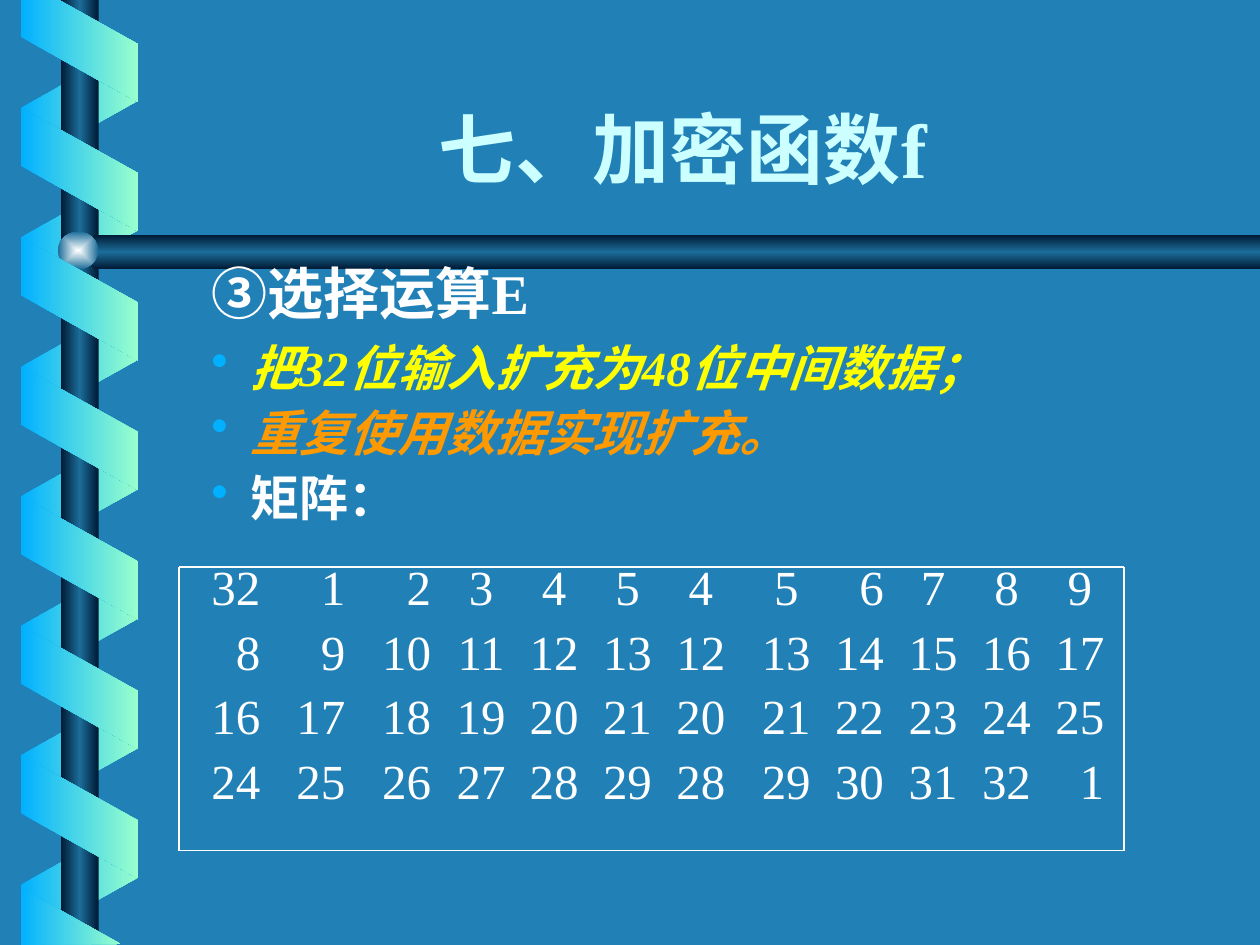
from lxml import etree
from pptx import Presentation, util as u
from pptx.dml.color import RGBColor
from pptx.enum import shapes, text
from pptx.oxml import parse_xml
from pptx.oxml.ns import nsdecls, qn

BACKGROUND = RGBColor(0x21, 0x81, 0xB7)
NAVY = RGBColor(0x00, 0x19, 0x32)
STEEL = RGBColor(0x1C, 0x6D, 0x9A)
PEARL = RGBColor(0xFE, 0xFF, 0xFF)
BLUE = RGBColor(0x01, 0xB0, 0xFF)
MINT = RGBColor(0x99, 0xFF, 0xCC)
ICE = RGBColor(0xCC, 0xFF, 0xFF)
WHITE = RGBColor(0xFF, 0xFF, 0xFF)
YELLOW = RGBColor(0xFF, 0xFF, 0x00)
ORANGE = RGBColor(0xFF, 0x99, 0x00)
SERIF, SANS = "Times New Roman", "Roboto Condensed"

presentation = Presentation()
presentation.slide_width, presentation.slide_height = u.Cm(25.4), u.Cm(19.05)
slide = presentation.slides.add_slide(presentation.slide_layouts[6])
slide.background.fill.solid()
slide.background.fill.fore_color.rgb = BACKGROUND


def paint(shape, colors, direction):
    """Fill with evenly spaced gradient colours, without line or shadow."""
    shape.shadow.inherit = False
    shape.line.fill.background()
    shape.fill.background()
    stops = "".join(
        f'<a:gs pos="{100000 * i // (len(colors) - 1)}"><a:srgbClr val="{color}"/></a:gs>'
        for i, color in enumerate(colors))
    properties = shape._element.spPr
    properties.replace(properties.find(qn("a:noFill")), parse_xml(
        f'<a:gradFill {nsdecls("a")}><a:gsLst>{stops}</a:gsLst>{direction}</a:gradFill>'))


def polygon(points, colors, direction):
    corners = [(u.Cm(x), u.Cm(y)) for x, y in points]
    builder = slide.shapes.build_freeform(*corners[0], scale=1.0)
    builder.add_line_segments(corners[1:], close=True)
    paint(builder.convert_to_shape(), colors, direction)


ACROSS = '<a:lin ang="0" scaled="0"/>'
DOWN = '<a:lin ang="5400000" scaled="0"/>'
CENTRE = '<a:path path="rect"><a:fillToRect l="50000" t="50000" r="50000" b="50000"/></a:path>'
LEFT, RIGHT, BAND, DROP, PITCH = 0.42, 2.78, 1.17, 1.32, 2.61

# Ribbon turns behind the rod
for i in range(7):
    top = 0.86 + i * PITCH
    polygon([(LEFT, top + DROP), (RIGHT, top), (RIGHT, top + BAND),
             (LEFT, top + DROP + BAND)], [BLUE, MINT], ACROSS)

# Vertical rod, horizontal rod and the joint
rod = slide.shapes.add_shape(shapes.MSO_SHAPE.RECTANGLE, u.Cm(1.23), 0, u.Cm(0.76), u.Cm(19.05))
paint(rod, [NAVY, STEEL, NAVY], ACROSS)
polygon([(25.4, 4.73), (1.93, 4.73), (1.52, 5.08), (1.93, 5.43), (25.4, 5.43)],
        [NAVY, STEEL, NAVY], DOWN)
joint = slide.shapes.add_shape(shapes.MSO_SHAPE.OVAL, u.Cm(1.17), u.Cm(4.67), u.Cm(0.81), u.Cm(0.76))
paint(joint, [PEARL, STEEL], CENTRE)

# Ribbon turns in front, cut off at the slide's top and bottom
front = [[(LEFT, top), (RIGHT, top + DROP), (RIGHT, top + DROP + BAND), (LEFT, top + BAND)]
         for top in (2.17 + i * PITCH for i in range(6))]
front.append([(LEFT, 0), (LEFT, 0.74), (RIGHT, 2.06), (RIGHT, 0.89), (1.19, 0)])
front.append([(2.43, 19.03), (LEFT, 17.9), (LEFT, 19.05)])
for points in front:
    polygon(points, [BLUE, MINT], ACROSS)

# Title
title = slide.shapes.add_textbox(u.Cm(2.97), u.Cm(1.7), u.Cm(21.59), u.Cm(2.34)).text_frame
title.word_wrap = True
title.vertical_anchor = text.MSO_ANCHOR.BOTTOM
paragraph = title.paragraphs[0]
paragraph.text = "七、加密函数f"
paragraph.alignment = text.PP_ALIGN.CENTER
paragraph.font.name, paragraph.font.size, paragraph.font.bold = SERIF, u.Pt(44), True
paragraph.font.color.rgb = ICE

# Heading and bullets: runs, size, colour, italic, bullet, line spacing
body = slide.shapes.add_textbox(u.Cm(2.74), u.Cm(5.08), u.Cm(22.66), u.Cm(6.2)).text_frame
body.word_wrap = True
lines = [
    ([("③选择运算", SANS), ("E", SERIF)], 32, WHITE, False, False, 1.0),
    ([("把", SANS), ("32", SERIF), ("位输入扩充为", SANS), ("48位中间数据；", SERIF)],
     28, YELLOW, True, True, 1.0),
    ([("重复使用数据实现扩充。", SERIF)], 28, ORANGE, True, True, 0.9),
    ([("矩阵：", SERIF)], 28, WHITE, False, True, 0.9),
]
for i, (runs, size, color, italic, bullet, spacing) in enumerate(lines):
    paragraph = body.add_paragraph() if i else body.paragraphs[0]
    paragraph.line_spacing = spacing
    if i:
        paragraph.space_before = u.Pt(7)
    properties = paragraph._p.get_or_add_pPr()
    properties.set("marL", str(u.Cm(2.06)))
    properties.set("indent", str(-u.Cm(0.79)))
    if bullet:
        mark = etree.SubElement(properties, qn("a:buClr"))
        etree.SubElement(mark, qn("a:srgbClr"), val=str(BLUE))
        etree.SubElement(properties, qn("a:buChar"), char="•")
    else:
        etree.SubElement(properties, qn("a:buNone"))
    paragraph.font.size, paragraph.font.bold, paragraph.font.italic = u.Pt(size), True, italic
    paragraph.font.color.rgb = color
    for words, font in runs:
        run = paragraph.add_run()
        run.text, run.font.name = words, font

# Expansion matrix, its columns set by tab stops
matrix = [
    [32, 1, 2, 3, 4, 5, 4, 5, 6, 7, 8, 9],
    [8, 9, 10, 11, 12, 13, 12, 13, 14, 15, 16, 17],
    [16, 17, 18, 19, 20, 21, 20, 21, 22, 23, 24, 25],
    [24, 25, 26, 27, 28, 29, 28, 29, 30, 31, 32, 1],
]
stops = [(1.64, "r"), (3.35, "r"), (5.08, "r"), (6.09, "ctr"), (7.56, "ctr"), (9.04, "ctr"),
         (10.52, "ctr"), (12.24, "ctr"), (14.21, "r"), (15.2, "ctr"), (16.68, "ctr")]
grid = slide.shapes.add_textbox(u.Cm(3.61), u.Cm(11.1), u.Cm(19.05), u.Cm(5.4)).text_frame
grid.word_wrap = True
grid.margin_left = grid.margin_right = grid.margin_top = grid.margin_bottom = 0
for i, row in enumerate(matrix):
    paragraph = grid.add_paragraph() if i else grid.paragraphs[0]
    paragraph.text = "".join(f"\t{number}" for number in row)
    paragraph.line_spacing = u.Pt(37)
    tabs = etree.SubElement(paragraph._p.get_or_add_pPr(), qn("a:tabLst"))
    last = (18.65, "r") if row is matrix[-1] else (18.16, "ctr")
    for position, alignment in stops + [last]:
        etree.SubElement(tabs, qn("a:tab"), pos=str(u.Cm(position)), algn=alignment)
    paragraph.font.name, paragraph.font.size = SERIF, u.Pt(28)
    paragraph.font.color.rgb = WHITE

# Frame around the matrix
corners = [(3.61, 11.43), (22.66, 11.43), (22.66, 17.15), (3.61, 17.15)]
for start, end in zip(corners, corners[1:] + corners[:1]):
    edge = slide.shapes.add_connector(
        shapes.MSO_CONNECTOR.STRAIGHT, *(u.Cm(value) for value in start + end))
    edge.line.color.rgb, edge.line.width = WHITE, u.Pt(0.75)
    etree.SubElement(edge._element.spPr, qn("a:effectLst"))

presentation.save("out.pptx")
